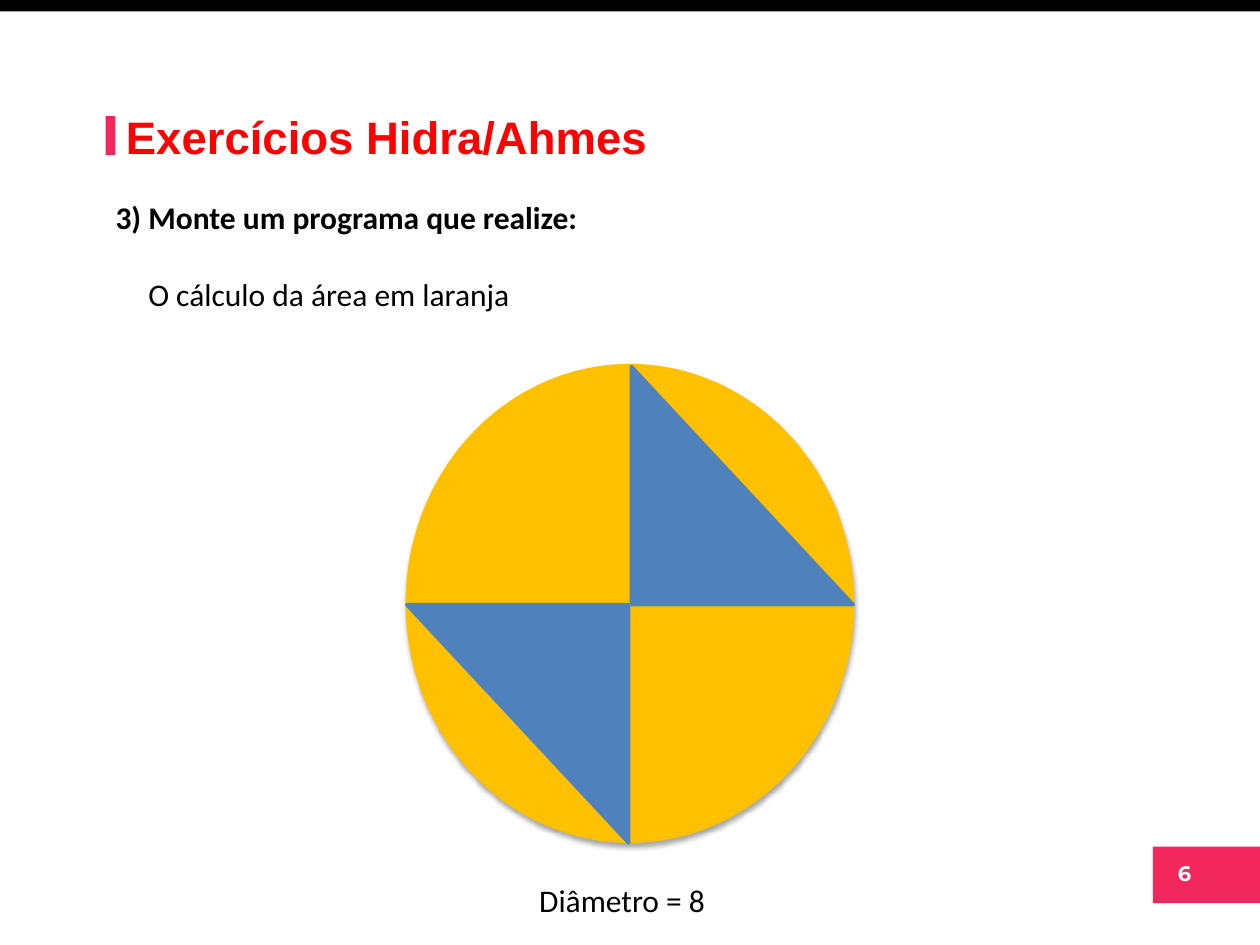
from lxml.etree import SubElement
from pptx import Presentation
from pptx.dml.color import RGBColor
from pptx.enum.shapes import MSO_SHAPE
from pptx.enum.text import MSO_AUTO_SIZE, PP_ALIGN
from pptx.oxml.ns import qn
from pptx.util import Cm, Pt

BLACK = RGBColor(0x00, 0x00, 0x00)
WHITE = RGBColor(0xFF, 0xFF, 0xFF)
RED = RGBColor(0xFF, 0x00, 0x00)
PINK = RGBColor(0xF0, 0x26, 0x5D)
ORANGE = RGBColor(0xFF, 0xC0, 0x00)
BLUE = RGBColor(0x4F, 0x81, 0xBD)

TITLE = {"name": "Arial", "size": Pt(26), "bold": True}
QUESTION = {"name": "Calibri", "size": Pt(18), "bold": True}
BODY = {"name": "Calibri", "size": Pt(18), "bold": False}
NUMBER = {"name": "Montserrat", "size": Pt(12), "bold": True}


def add_figure(shapes, kind, box, color, line_width=None):
    """Add a solid shape, outlined in its own colour if a width is given."""
    figure = shapes.add_shape(kind, *map(Cm, box))
    figure.shadow.inherit = False
    figure.fill.solid()
    figure.fill.fore_color.rgb = color
    if line_width is None:
        figure.line.fill.background()
    else:
        figure.line.color.rgb = color
        figure.line.width = Pt(line_width)
    return figure


def add_text(shapes, text, box, font_format, color=BLACK, wrap=False,
             align=PP_ALIGN.LEFT):
    frame = shapes.add_textbox(*map(Cm, box)).text_frame
    frame.word_wrap = wrap
    frame.auto_size = MSO_AUTO_SIZE.SHAPE_TO_FIT_TEXT
    paragraph = frame.paragraphs[0]
    paragraph.alignment = align
    run = paragraph.add_run()
    run.text = text
    for attribute, value in font_format.items():
        setattr(run.font, attribute, value)
    run.font.color.rgb = color


def add_soft_shadow(figure):
    """Cast a faint shadow straight down."""
    effects = figure._element.spPr.find(qn("a:effectLst"))
    shadow = SubElement(effects, qn("a:outerShdw"), blurRad=str(Pt(3.15)),
                        dist=str(Pt(1.8)), dir="5400000", rotWithShape="0")
    tint = SubElement(shadow, qn("a:srgbClr"), val=str(BLACK))
    SubElement(tint, qn("a:alpha"), val="35000")


def add_right_triangle(shapes, left, top, rotation):
    triangle = add_figure(shapes, MSO_SHAPE.ISOSCELES_TRIANGLE,
                          (left, top, 4.47, 4.8), BLUE, 2)
    triangle.adjustments[0] = 0
    triangle.rotation = rotation


def add_circle_diagram(shapes):
    diagram = shapes.add_group_shape().shapes
    circle = add_figure(diagram, MSO_SHAPE.OVAL, (8.23, 7.39, 8.94, 9.55),
                        ORANGE, 3)
    add_soft_shadow(circle)
    add_right_triangle(diagram, 12.73, 7.39, 0)
    add_right_triangle(diagram, 8.2, 12.19, 180)


def main():
    presentation = Presentation()
    presentation.slide_width = Cm(25.4)
    presentation.slide_height = Cm(19.05)
    slide = presentation.slides.add_slide(presentation.slide_layouts[6])
    shapes = slide.shapes

    # Top bar and slide number
    add_figure(shapes, MSO_SHAPE.RECTANGLE, (0, 0, 25.4, 0.23), BLACK)
    add_figure(shapes, MSO_SHAPE.RECTANGLE, (23.24, 17.07, 2.18, 1.14), PINK)
    add_text(shapes, "6", (23.27, 17.22, 1.22, 0.76), NUMBER, WHITE,
             align=PP_ALIGN.CENTER)

    # Title with its marker
    add_figure(shapes, MSO_SHAPE.RECTANGLE, (2.13, 2.34, 0.2, 0.79), PINK)
    add_text(shapes, "Exercícios Hidra/Ahmes", (2.29, 2.08, 25.4, 1.37),
             TITLE, RED, wrap=True)

    # Exercise statement
    add_text(shapes, "3) Monte um programa que realize:",
             (2.08, 3.86, 20.75, 1.02), QUESTION, wrap=True)
    add_text(shapes, "O cálculo da área em laranja",
             (2.74, 5.41, 7.87, 1.02), BODY)

    # Circle and its measure
    add_circle_diagram(shapes)
    add_text(shapes, "Diâmetro = 8", (10.62, 17.63, 3.89, 1.02), BODY)

    presentation.save("out.pptx")


if __name__ == "__main__":
    main()
